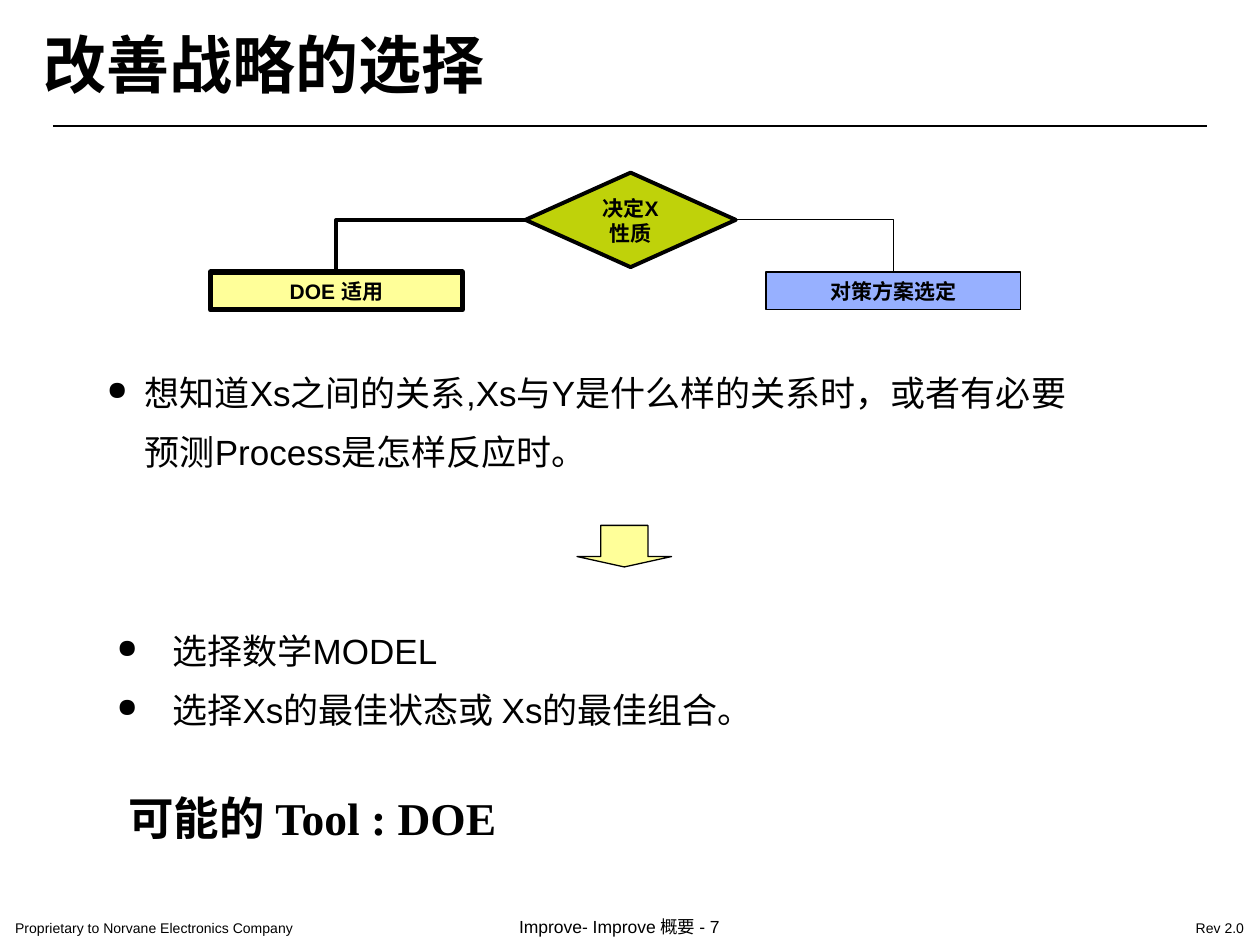
from lxml import etree
from pptx import Presentation
from pptx.dml.color import RGBColor
from pptx.enum.shapes import MSO_CONNECTOR, MSO_SHAPE
from pptx.enum.text import MSO_ANCHOR, PP_ALIGN
from pptx.oxml.ns import qn
from pptx.util import Inches, Pt

LEFT, CENTER = PP_ALIGN.LEFT, PP_ALIGN.CENTER
TOP, MIDDLE = MSO_ANCHOR.TOP, MSO_ANCHOR.MIDDLE
STRAIGHT, ELBOW = MSO_CONNECTOR.STRAIGHT, MSO_CONNECTOR.ELBOW
BLACK, YELLOW, GREEN, BLUE = "000000", "FFFF99", "BFD20A", "97B0FF"
CJK_FONT = "Noto Sans CJK KR"


def color(hex_code):
    return RGBColor.from_string(hex_code)


def write(box, text, size=12, font="Arial", bold=False, align=LEFT, anchor=TOP,
          wrap=True, margins=(0.1, 0.05), indent=0, bulleted=0, line_spacing=None,
          space_before=0):
    """Fill a box with one paragraph per line; the first `bulleted` get a bullet."""
    frame = box.text_frame
    frame.word_wrap = wrap
    frame.vertical_anchor = anchor
    frame.margin_left = frame.margin_right = Inches(margins[0])
    frame.margin_top = frame.margin_bottom = Inches(margins[1])
    for index, line in enumerate(text.split("\n")):
        para = frame.add_paragraph() if index else frame.paragraphs[0]
        if indent:
            properties = para._p.get_or_add_pPr()
            properties.set("marL", str(Inches(indent)))
            if index < bulleted:
                properties.set("indent", str(-Inches(indent)))
                etree.SubElement(properties, qn("a:buSzPct"), val="75000")
                etree.SubElement(properties, qn("a:buChar"), char="●")
        para.alignment = align
        if line_spacing:
            para.line_spacing = line_spacing
        if index and space_before:
            para.space_before = Pt(space_before)
        span = para.add_run()
        span.text = line
        span.font.size = Pt(size)
        span.font.name = font
        span.font.bold = bold
        span.font.color.rgb = color(BLACK)
        if font == CJK_FONT:
            etree.SubElement(span._r.get_or_add_rPr(), qn("a:ea"), typeface=font)


deck = Presentation()
deck.slide_width, deck.slide_height = Inches(10), Inches(7.5)
page = deck.slides.add_slide(deck.slide_layouts[6])

# Title, body lists, tool line and footers
list_format = dict(size=20, line_spacing=1.2, space_before=5)
footer_format = dict(margins=(0.12, 0.06))
texts = [
    (0.25, 0.17, 4, 0.67, "改善战略的选择",
     dict(size=36, font=CJK_FONT, bold=True, anchor=MIDDLE)),
    (0.75, 2.83, 8.5, 1.17,
     "想知道Xs之间的关系,Xs与Y是什么样的关系时，或者有必要\n预测Process是怎样反应时。",
     dict(indent=0.3, bulleted=1, **list_format)),
    (0.83, 4.88, 8.5, 0.92, "选择数学MODEL\n选择Xs的最佳状态或 Xs的最佳组合。",
     dict(indent=0.44, bulleted=2, **list_format)),
    (0.92, 6.22, 5.26, 0.54, "可能的 Tool : DOE",
     dict(size=26, font="Times New Roman", bold=True)),
    (0, 7.24, 3.21, 0.25, "Proprietary to Norvane Electronics Company",
     dict(size=8, **footer_format)),
    (4, 7.21, 2.46, 0.29, "Improve- Improve 概要 - 7",
     dict(size=10, wrap=False, **footer_format)),
    (9.37, 7.24, 0.63, 0.25, "Rev 2.0", dict(size=8, wrap=False, **footer_format)),
]
for left, top, width, height, text, text_format in texts:
    box = page.shapes.add_textbox(Inches(left), Inches(top), Inches(width), Inches(height))
    write(box, text, **text_format)

# Decision diamond, its two outcomes and the down arrow
shapes = [
    (MSO_SHAPE.DIAMOND, 4.17, 1.37, 1.67, 0.75, GREEN, 2.25, ""),
    (MSO_SHAPE.RECTANGLE, 1.67, 2.16, 2, 0.3, YELLOW, 3, "DOE 适用"),
    (MSO_SHAPE.RECTANGLE, 6.08, 2.16, 2.02, 0.3, BLUE, 0.75, "对策方案选定"),
    (MSO_SHAPE.DOWN_ARROW, 4.58, 4.17, 0.75, 0.33, YELLOW, 0.75, ""),
]
drawn = []
for kind, left, top, width, height, fill, line_width, text in shapes:
    shape = page.shapes.add_shape(kind, Inches(left), Inches(top), Inches(width), Inches(height))
    shape.shadow.inherit = False
    shape.fill.solid()
    shape.fill.fore_color.rgb = color(fill)
    shape.line.color.rgb = color(BLACK)
    shape.line.width = Pt(line_width)
    if text:
        write(shape, text, bold=True, align=CENTER, anchor=MIDDLE)
    drawn.append(shape)
diamond, doe_box, plan_box, down_arrow = drawn
down_arrow.adjustments[0], down_arrow.adjustments[1] = 0.5, 0.25

# Diamond label, wider than the diamond's own text area
label = page.shapes.add_textbox(Inches(4.17), Inches(1.5), Inches(1.67), Inches(0.5))
write(label, "决定X\n性质", bold=True, align=CENTER)

# Title rule, and one-bend connectors from the diamond to each outcome
rule = page.shapes.add_connector(STRAIGHT, Inches(0.42), Inches(1), Inches(9.58), Inches(1))
connectors = [(rule, 0.75)]
for side, outcome, line_width in [(1, doe_box, 2.25), (3, plan_box, 0.75)]:
    branch = page.shapes.add_connector(ELBOW, 0, 0, 0, 0)
    branch.begin_connect(diamond, side)
    branch.end_connect(outcome, 0)
    branch._element.spPr.find(qn("a:prstGeom")).set("prst", "bentConnector2")
    connectors.append((branch, line_width))
for connector, line_width in connectors:
    connector.line.color.rgb = color(BLACK)
    connector.line.width = Pt(line_width)
    etree.SubElement(connector._element.spPr, qn("a:effectLst"))

deck.save("out.pptx")
